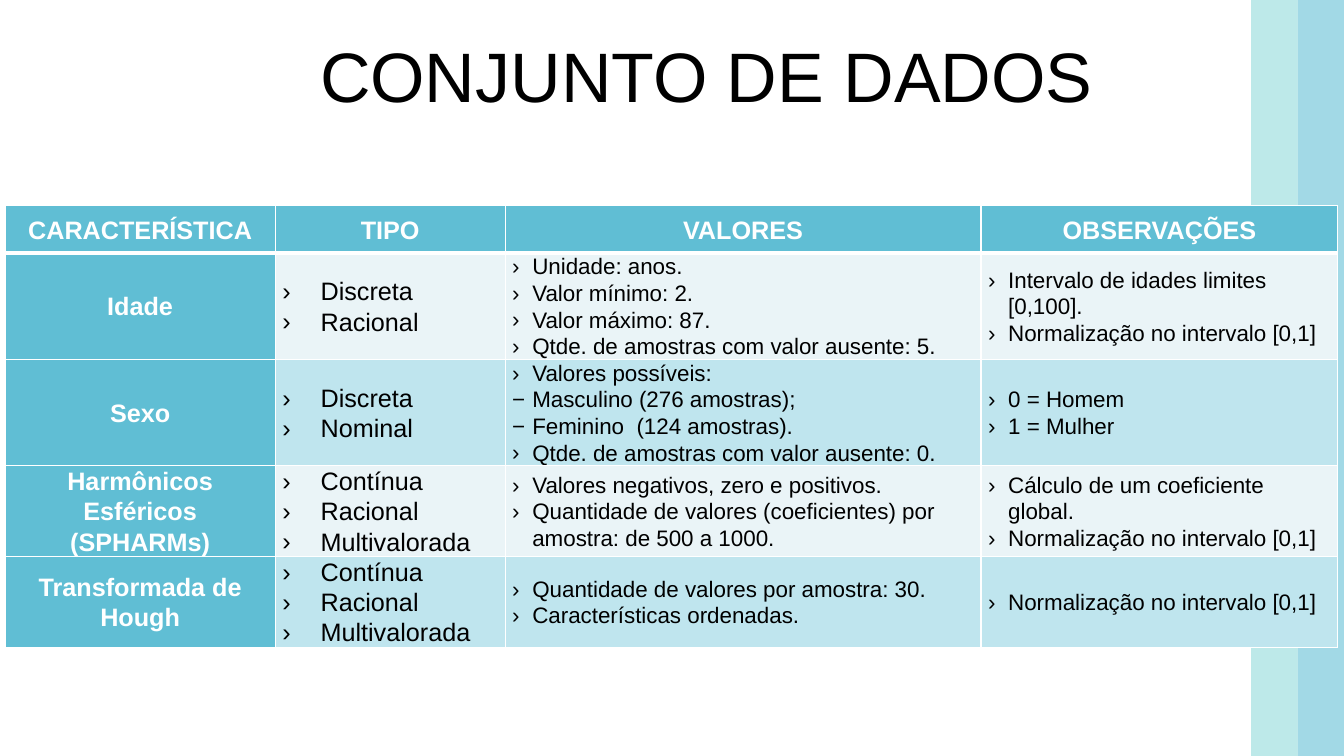
import pptx
import pptx.util
import pptx.dml.color
import pptx.enum.shapes
import pptx.enum.text
import pptx.oxml.ns
from lxml import etree

Inches = pptx.util.Inches
Pt = pptx.util.Pt
ALIGN = pptx.enum.text.PP_ALIGN
ANCHOR = pptx.enum.text.MSO_ANCHOR

# Content: a line that starts with DASH is a second-level item
DASH = "−"
TITLE = "CONJUNTO DE DADOS"
HEADINGS = ["CARACTERÍSTICA", "TIPO", "VALORES", "OBSERVAÇÕES"]
FEATURES = [
    ("Idade",
     ["Discreta", "Racional"],
     ["Unidade: anos.", "Valor mínimo: 2.", "Valor máximo: 87.",
      "Qtde. de amostras com valor ausente: 5."],
     ["Intervalo de idades limites [0,100].", "Normalização no intervalo [0,1]"]),
    ("Sexo",
     ["Discreta", "Nominal"],
     ["Valores possíveis:", "−Masculino (276 amostras);",
      "−Feminino  (124 amostras).", "Qtde. de amostras com valor ausente: 0."],
     ["0 = Homem", "1 = Mulher"]),
    ("Harmônicos Esféricos (SPHARMs)",
     ["Contínua", "Racional", "Multivalorada"],
     ["Valores negativos, zero e positivos.",
      "Quantidade de valores (coeficientes) por amostra: de 500 a 1000."],
     ["Cálculo de um coeficiente global.", "Normalização no intervalo [0,1]"]),
    ("Transformada de Hough",
     ["Contínua", "Racional", "Multivalorada"],
     ["Quantidade de valores por amostra: 30.", "Características ordenadas."],
     ["Normalização no intervalo [0,1]"]),
]

# Theme and grid
THEME = {
    "font": "Arial", "title": 50, "label": 18, "detail": 16,
    "ink": "000000", "paper": "FFFFFF", "accent": "60BED4", "mint": "8EDADA",
    "rows": ["EAF4F7", "BFE5EE"], "band_opacity": 58,
}
SLIDE_W, SLIDE_H = 13.33, 7.5
BAND_W = 0.46
TABLE_LEFT, TABLE_TOP = 0.05, 2.04
COLUMNS = [2.68, 2.28, 4.72, 3.54]
ROWS = [0.47, 1.05, 1.05, 0.9, 0.9]
THIN, THICK = 1, 3


def rgb(value):
    return pptx.dml.color.RGBColor.from_string(value)


def add_xml(parent, tag, **attributes):
    child = etree.SubElement(parent, pptx.oxml.ns.qn(tag))
    for key, value in attributes.items():
        child.set(key, str(value))
    return child


def write(frame, lines, size, color="ink", bold=False, align=ALIGN.LEFT,
          spacing=1.07, indent=None):
    """Fill a text frame; an indent in inches turns its lines into bullets."""
    frame.word_wrap = True
    for index, line in enumerate(lines):
        paragraph = frame.paragraphs[0] if index == 0 else frame.add_paragraph()
        paragraph.alignment = align
        paragraph.line_spacing = spacing
        paragraph.space_before = paragraph.space_after = Pt(0)
        if indent:
            dashed = line.startswith(DASH)
            paragraph.level = int(dashed)
            properties = paragraph._p.get_or_add_pPr()
            properties.set("marL", str(Inches(indent)))
            properties.set("indent", str(-Inches(indent)))
            add_xml(properties, "a:buFont", typeface=THEME["font"])
            add_xml(properties, "a:buChar", char=DASH if dashed else "›")
        run = paragraph.add_run()
        run.text = line.removeprefix(DASH)
        run.font.name = THEME["font"]
        run.font.size = Pt(THEME[size])
        run.font.bold = bold
        run.font.color.rgb = rgb(THEME[color])


def format_cell(cell, fill, top=THIN, bottom=THIN):
    cell.vertical_anchor = ANCHOR.MIDDLE
    cell.margin_left = cell.margin_right = Inches(0.07)
    cell.margin_top = cell.margin_bottom = 0
    properties = cell._tc.get_or_add_tcPr()
    for side, width in zip("LRTB", (THIN, THIN, top, bottom)):
        line = add_xml(properties, f"a:ln{side}", w=Pt(width))
        add_xml(add_xml(line, "a:solidFill"), "a:srgbClr", val=THEME["paper"])
    cell.fill.solid()
    cell.fill.fore_color.rgb = rgb(fill)


def add_bands(slide):
    for place, color in enumerate((THEME["accent"], THEME["mint"]), start=1):
        band = slide.shapes.add_shape(
            pptx.enum.shapes.MSO_SHAPE.RECTANGLE,
            Inches(SLIDE_W - place * BAND_W), 0, Inches(BAND_W), Inches(SLIDE_H))
        band.shadow.inherit = False
        band.line.fill.background()
        band.fill.solid()
        band.fill.fore_color.rgb = rgb(color)
        tint = band.fill._xPr.find(".//" + pptx.oxml.ns.qn("a:srgbClr"))
        add_xml(tint, "a:alpha", val=THEME["band_opacity"] * 1000)


def add_features(slide):
    table = slide.shapes.add_table(
        len(ROWS), len(COLUMNS), Inches(TABLE_LEFT), Inches(TABLE_TOP),
        Inches(sum(COLUMNS)), Inches(sum(ROWS))).table
    for column, width in zip(table.columns, COLUMNS):
        column.width = Inches(width)
    for row, height in zip(table.rows, ROWS):
        row.height = Inches(height)

    label = dict(size="label", color="paper", bold=True, align=ALIGN.CENTER)
    formats = [label, dict(size="label", indent=0.38),
               dict(size="detail", indent=0.2), dict(size="detail", indent=0.2)]

    # Heading row
    for col, heading in enumerate(HEADINGS):
        cell = table.cell(0, col)
        format_cell(cell, THEME["accent"], bottom=THICK)
        write(cell.text_frame, [heading], **label)

    # One row per feature
    for row, (name, *details) in enumerate(FEATURES, start=1):
        shade = THEME["rows"][(row - 1) % 2]
        for col, lines in enumerate([[name], *details]):
            cell = table.cell(row, col)
            format_cell(cell, shade if col else THEME["accent"],
                        top=THICK if row == 1 else THIN)
            write(cell.text_frame, lines, **formats[col])


def main():
    deck = pptx.Presentation()
    deck.slide_width, deck.slide_height = Inches(SLIDE_W), Inches(SLIDE_H)
    slide = deck.slides.add_slide(deck.slide_layouts[5])
    slide.background.fill.solid()
    slide.background.fill.fore_color.rgb = rgb(THEME["paper"])

    add_bands(slide)
    add_features(slide)

    # Title
    title = slide.shapes.title
    title.left, title.top = Inches(0.68), Inches(0.37)
    title.width, title.height = Inches(12.66), Inches(0.79)
    title.text_frame.vertical_anchor = ANCHOR.TOP
    title.text_frame.auto_size = pptx.enum.text.MSO_AUTO_SIZE.NONE
    write(title.text_frame, [TITLE], size="title", align=ALIGN.CENTER, spacing=0.9)

    deck.save("out.pptx")


if __name__ == "__main__":
    main()
